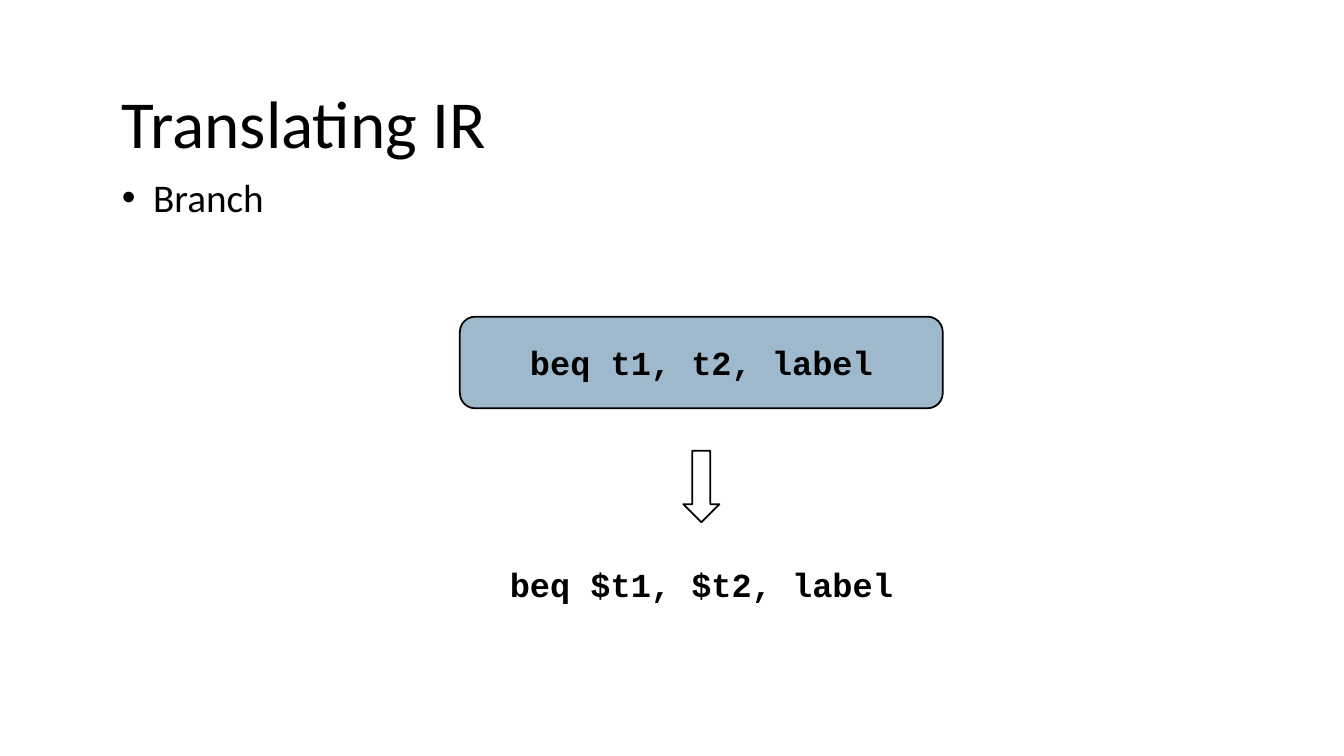
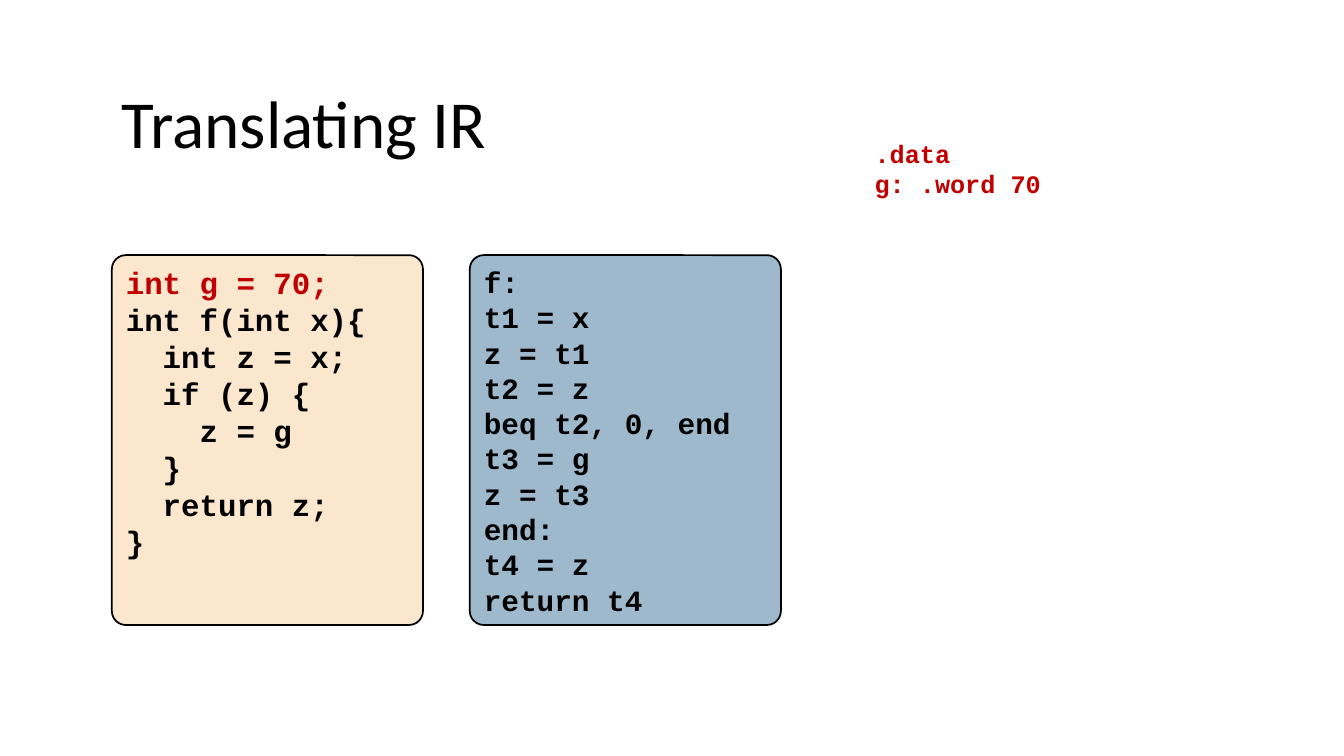
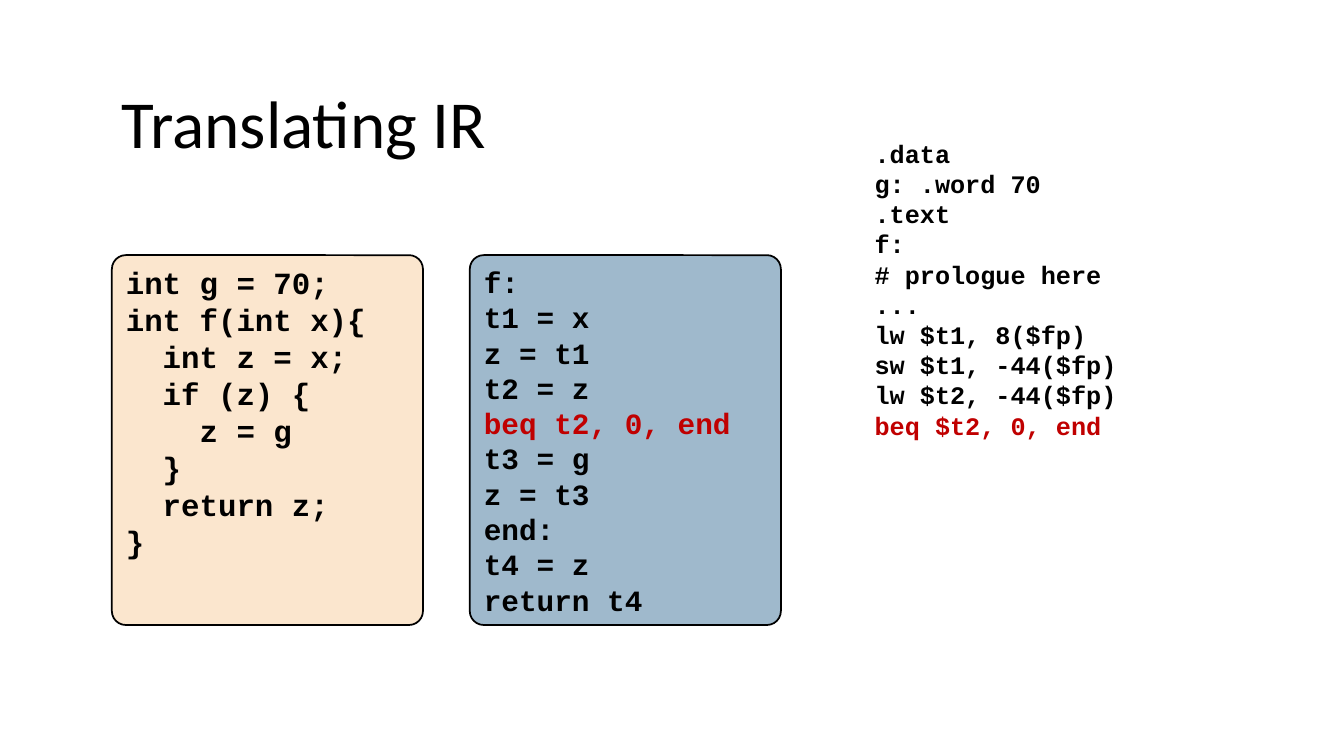
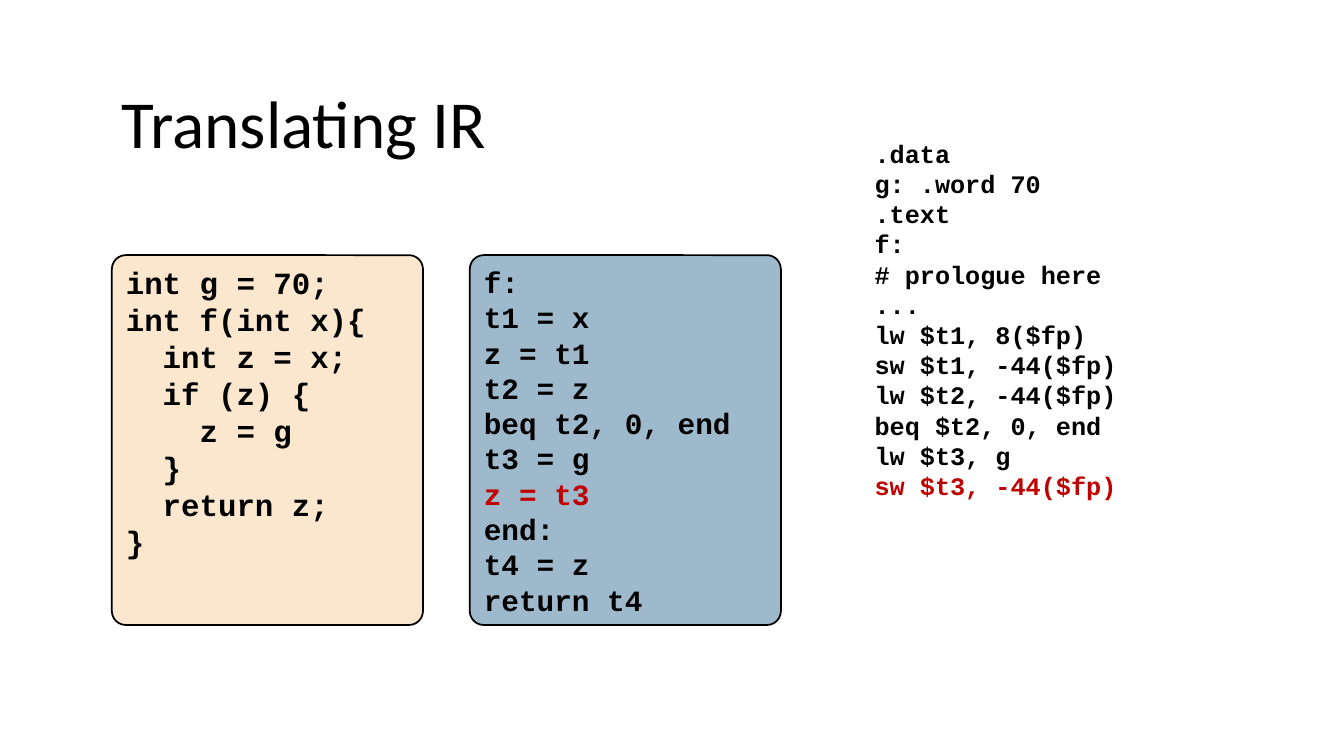
from lxml.etree import SubElement
from pptx import Presentation
from pptx.dml.color import RGBColor
from pptx.enum.shapes import MSO_SHAPE
from pptx.enum.text import MSO_ANCHOR, PP_ALIGN
from pptx.oxml.ns import qn
from pptx.util import Cm, Pt

BLACK = RGBColor(0x00, 0x00, 0x00)
WHITE = RGBColor(0xFF, 0xFF, 0xFF)
RED = RGBColor(0xC0, 0x00, 0x00)
CREAM = RGBColor(0xFB, 0xE6, 0xCE)
BLUE = RGBColor(0x40, 0x74, 0x9B)

TITLE = {"name": "Calibri", "size": Pt(48)}
BULLET = {"name": "Calibri", "size": Pt(28)}
INSTRUCTION = {"name": "Courier New", "size": Pt(24), "bold": True}
SOURCE = {**INSTRUCTION, "size": Pt(22)}
INTERMEDIATE = {**INSTRUCTION, "size": Pt(21)}
ASSEMBLY = {**INSTRUCTION, "size": Pt(18)}

LEFT = 2.82
PANEL_TOP, PANEL_WIDTH, PANEL_HEIGHT, PANEL_GAP = 6.43, 7.84, 9.32, 1.18

SOURCE_LINES = [
    "int g = 70;", "int f(int x){", "  int z = x;", "  if (z) {",
    "    z = g", "  }", "  return z;", "}",
]
INTERMEDIATE_LINES = [
    "f:", "t1 = x", "z = t1", "t2 = z", "beq t2, 0, end",
    "t3 = g", "z = t3", "end:", "t4 = z", "return t4",
]
ASSEMBLY_LINES = [
    ".data", "g: .word 70", ".text", "f:", "# prologue here", "...",
    "lw $t1, 8($fp)", "sw $t1, -44($fp)", "lw $t2, -44($fp)",
    "beq $t2, 0, end", "lw $t3, g", "sw $t3, -44($fp)",
]

# Highlighted source line, highlighted intermediate line, assembly lines shown
STEPS = [
    ("int g = 70;", None, 2),
    (None, "beq t2, 0, end", 10),
    (None, "z = t3", 12),
]


def write(shape, lines, style, red_lines=(), align=PP_ALIGN.LEFT, anchor=MSO_ANCHOR.TOP):
    """Fill a shape with one paragraph per line."""
    frame = shape.text_frame
    frame.word_wrap = True
    frame.vertical_anchor = anchor
    for index, line in enumerate(lines):
        para = frame.add_paragraph() if index else frame.paragraphs[0]
        para.alignment = align
        span = para.add_run()
        span.text = line
        for name, value in style.items():
            setattr(span.font, name, value)
        span.font.color.rgb = RED if line in red_lines else BLACK


def add_text(page, box, lines, style, **options):
    shape = page.shapes.add_textbox(*map(Cm, box))
    write(shape, lines, style, **options)
    return shape


def add_outlined(page, kind, box, colour, opacity=100):
    shape = page.shapes.add_shape(kind, *map(Cm, box))
    shape.shadow.inherit = False
    shape.fill.solid()
    shape.fill.fore_color.rgb = colour
    if opacity < 100:
        tint = shape.fill._xPr.find(qn("a:solidFill"))[0]
        SubElement(tint, qn("a:alpha"), val=str(opacity * 1000))
    shape.line.color.rgb = BLACK
    shape.line.width = Pt(1.25)
    return shape


def add_page(deck):
    page = deck.slides.add_slide(deck.slide_layouts[6])
    add_text(page, (LEFT, 1.93, 28.17, 2.31), ["Translating IR"], TITLE)
    return page


def add_bullet(page, box, line):
    shape = add_text(page, box, [line], BULLET)
    properties = shape.text_frame.paragraphs[0]._p.get_or_add_pPr()
    indent = Cm(0.79)
    properties.set("marL", str(indent))
    properties.set("indent", str(-indent))
    SubElement(properties, qn("a:buFont"), typeface="Arial")
    SubElement(properties, qn("a:buChar"), char="•")


def add_translation(page, box, before, after):
    """One instruction, an arrow down, and its translation."""
    left, top, width, height = box
    centred = {"align": PP_ALIGN.CENTER, "anchor": MSO_ANCHOR.MIDDLE}
    panel = add_outlined(page, MSO_SHAPE.ROUNDED_RECTANGLE, (left, top, width, 2.31), BLUE, 50)
    write(panel, [before], INSTRUCTION, **centred)
    arrow_width = 0.91
    arrow_left = left + (width - arrow_width) / 2
    add_outlined(page, MSO_SHAPE.DOWN_ARROW, (arrow_left, top + 3.38, arrow_width, 1.8), WHITE)
    result_height = 4.65
    result = (left, top + height - result_height, width, result_height)
    add_text(page, result, [after], INSTRUCTION, **centred)


def add_code_panel(page, box, colour, opacity, lines, style, red_line):
    panel = add_outlined(page, MSO_SHAPE.ROUNDED_RECTANGLE, box, colour, opacity)
    panel.adjustments[0] = 0.045
    write(panel, lines, style, red_lines=[red_line])


def add_step(deck, red_source, red_intermediate, shown):
    """Source, intermediate code and the assembly written so far."""
    page = add_page(deck)
    lines = ASSEMBLY_LINES[:shown]
    red_assembly = lines if red_source else lines[-1:]
    add_text(page, (21.79, 3.35, 11, 0.25 + 0.77 * shown), lines, ASSEMBLY, red_lines=red_assembly)
    panels = [
        (CREAM, 100, SOURCE_LINES, SOURCE, red_source),
        (BLUE, 50, INTERMEDIATE_LINES, INTERMEDIATE, red_intermediate),
    ]
    for column, panel in enumerate(panels):
        left = LEFT + column * (PANEL_WIDTH + PANEL_GAP)
        add_code_panel(page, (left, PANEL_TOP, PANEL_WIDTH, PANEL_HEIGHT), *panel)


def main():
    deck = Presentation()
    deck.slide_width, deck.slide_height = Cm(33.87), Cm(19.05)

    # Single branch instruction
    page = add_page(deck)
    add_bullet(page, (LEFT, 4.24, 28.63, 1.45), "Branch")
    add_translation(page, (11.59, 7.98, 12.17, 9.06), "beq t1, t2, label", "beq $t1, $t2, label")

    # Whole function, step by step
    for step in STEPS:
        add_step(deck, *step)
    deck.save("out.pptx")


if __name__ == "__main__":
    main()
